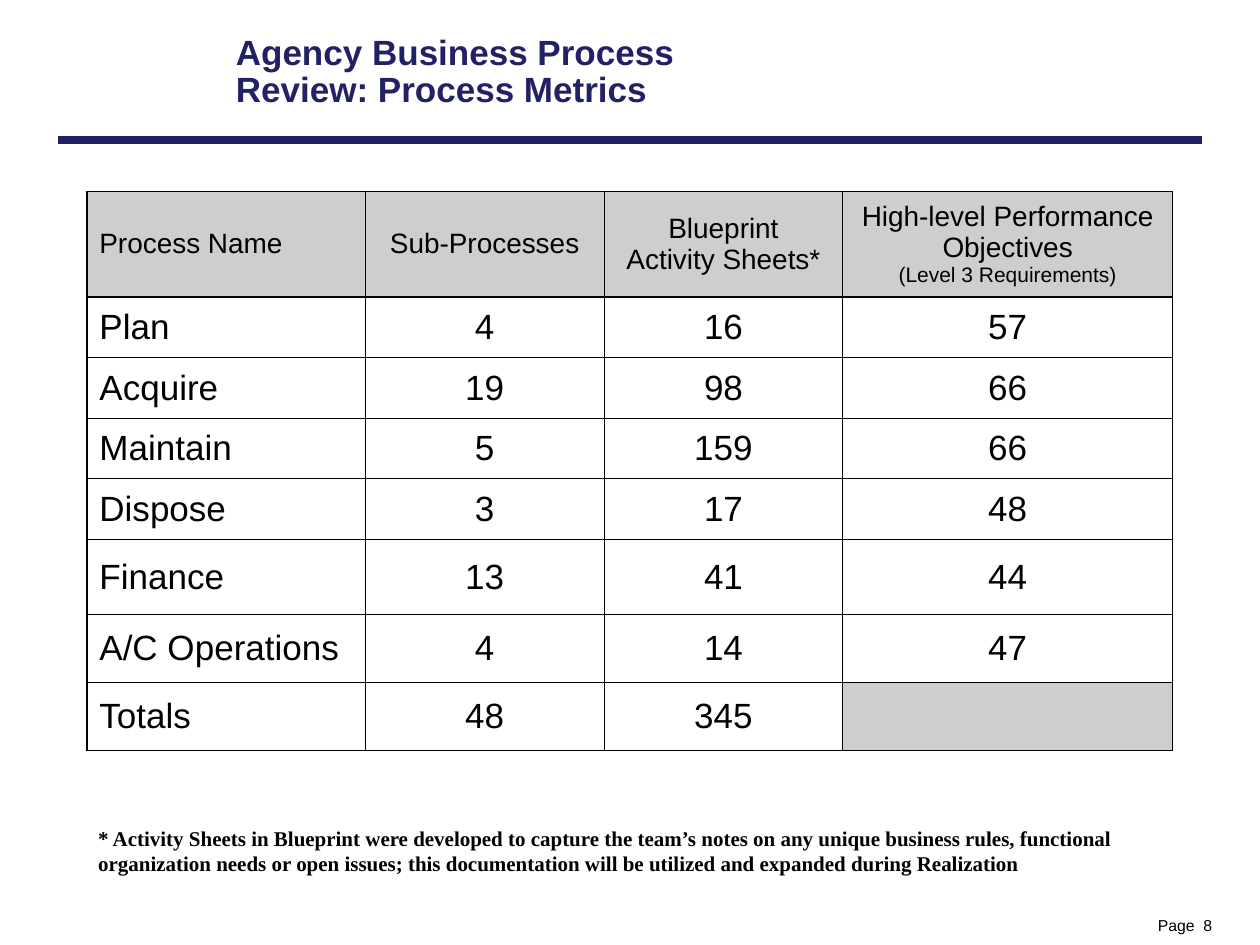
from dataclasses import dataclass

from lxml.etree import SubElement
from pptx import Presentation
from pptx.dml.color import RGBColor
from pptx.enum.text import MSO_ANCHOR, MSO_AUTO_SIZE, PP_ALIGN
from pptx.oxml.ns import qn
from pptx.util import Cm, Pt


@dataclass(frozen=True)
class Theme:
    """Hold the colours, fonts and sizes of the slide."""
    navy: str = "212165"
    ink: str = "000000"
    grey: str = "CECECE"
    sans: str = "Arial"
    serif: str = "Times New Roman"
    big: float = 20
    head: float = 16
    small: float = 12
    page: float = 9
    rule: float = 4.5
    thick: float = 1.08
    thin: float = 0.45


THEME = Theme()
HEADS = [
    [("Process Name", THEME.head)],
    [("Sub-Processes", THEME.head)],
    [("Blueprint", THEME.head), ("Activity Sheets*", THEME.head)],
    [("High-level Performance Objectives", THEME.head),
     ("(Level 3 Requirements)", THEME.small)],
]
ROWS = [
    ("Plan", "4", "16", "57"),
    ("Acquire", "19", "98", "66"),
    ("Maintain", "5", "159", "66"),
    ("Dispose", "3", "17", "48"),
    ("Finance", "13", "41", "44"),
    ("A/C Operations", "4", "14", "47"),
    ("Totals", "48", "345", ""),
]
WIDTHS = (5.61, 4.82, 4.81, 6.65)
HEIGHTS = (2.13, *[1.22] * 4, 1.52, 1.37, 1.37)
NOTE = ("* Activity Sheets in Blueprint were developed to capture the team’s notes "
        "on any unique business rules, functional organization needs or open issues; "
        "this documentation will be utilized and expanded during Realization")


def assign(item, values):
    """Set each named value on the item."""
    for name, value in values.items():
        setattr(item, name, value)


def write(para, lines, font=THEME.sans, tint=THEME.ink, bold=False):
    """Write sized lines into one paragraph, with line breaks between."""
    for i, (text, size) in enumerate(lines):
        if i:
            para.add_line_break()
        run = para.add_run()
        run.text = text
        assign(run.font, {"name": font, "size": Pt(size), "bold": bold})
        run.font.color.rgb = RGBColor.from_string(tint)


def add_title(slide, left, top, width, height):
    """Place the slide title in its box."""
    shape = slide.shapes.title
    assign(shape, {"left": Cm(left), "top": Cm(top),
                   "width": Cm(width), "height": Cm(height)})
    assign(shape.text_frame, {"vertical_anchor": MSO_ANCHOR.MIDDLE, "word_wrap": True,
                              "auto_size": MSO_AUTO_SIZE.NONE})
    para = shape.text_frame.paragraphs[0]
    assign(para, {"alignment": PP_ALIGN.LEFT, "line_spacing": 0.9, "space_before": Pt(0)})
    write(para, [("Agency Business Process", THEME.big),
                 ("Review: Process Metrics", THEME.big)], tint=THEME.navy, bold=True)


def add_rule(slide, left, top, width):
    """Draw the heavy line under the title."""
    line = slide.shapes.add_connector(1, Cm(left), Cm(top), Cm(left + width), Cm(top))
    line.line.width = Pt(THEME.rule)
    line.line.color.rgb = RGBColor.from_string(THEME.navy)
    SubElement(line._element.spPr, qn("a:effectLst"))


def edge(cell, sides):
    """Draw the cell borders from a map of side to width."""
    props = cell._tc.get_or_add_tcPr()
    for side, width in sides.items():
        line = SubElement(props, qn(f"a:ln{side}"), w=str(Pt(width)))
        fill = SubElement(line, qn("a:solidFill"))
        SubElement(fill, qn("a:srgbClr"), val=THEME.ink)


def add_grid(slide, left, top, width, height):
    """Place the metrics table, scaled to its box."""
    rows = HEADS + [[[(text, THEME.big)] if text else [] for text in row] for row in ROWS]
    rows = [HEADS] + rows[len(HEADS):]
    last, end = len(rows) - 1, len(WIDTHS) - 1
    table = slide.shapes.add_table(len(rows), len(WIDTHS), Cm(left), Cm(top),
                                   Cm(width), Cm(height)).table
    assign(table, {"first_row": False, "horz_banding": False})
    for col, size in zip(table.columns, WIDTHS):
        col.width = Cm(size * width / sum(WIDTHS))
    for row, size in zip(table.rows, HEIGHTS):
        row.height = Cm(size * height / sum(HEIGHTS))
    for r, row in enumerate(rows):
        for c, lines in enumerate(row):
            cell = table.cell(r, c)
            heavy = {"L": c == 0, "R": c == end,
                     "T": r in (0, 1, last), "B": r in (0, last - 1, last)}
            edge(cell, {side: THEME.thick if on else THEME.thin
                        for side, on in heavy.items()})
            if r == 0 or not lines:
                cell.fill.solid()
                cell.fill.fore_color.rgb = RGBColor.from_string(THEME.grey)
            else:
                cell.fill.background()
            cell.vertical_anchor = MSO_ANCHOR.MIDDLE
            para = cell.text_frame.paragraphs[0]
            para.alignment = PP_ALIGN.CENTER if c else PP_ALIGN.LEFT
            write(para, lines)


def add_text(slide, box, lines, frame, **style):
    """Place a wrapped text box with the given frame values."""
    shape = slide.shapes.add_textbox(*map(Cm, box))
    assign(shape.text_frame, {"word_wrap": True, **frame})
    write(shape.text_frame.paragraphs[0], lines, **style)


def main():
    """Build and save the slide."""
    deck = Presentation()
    assign(deck, {"slide_width": Cm(25.4), "slide_height": Cm(19.05)})
    slide = deck.slides.add_slide(deck.slide_layouts[5])
    add_rule(slide, 1.17, 2.82, 23.06)
    add_text(slide, (23.34, 18.47, 2, 0.38), [("Page  8", THEME.page)],
             {"vertical_anchor": MSO_ANCHOR.BOTTOM, "margin_left": 0, "margin_right": 0,
              "margin_top": 0, "margin_bottom": 0})
    add_title(slide, 4.5, 0.69, 14.35, 1.55)
    add_grid(slide, 1.75, 3.86, sum(WIDTHS), sum(HEIGHTS))
    add_text(slide, (1.73, 16.51, 22.61, 1.27), [(NOTE, THEME.small)], {},
             font=THEME.serif, bold=True)
    deck.save("out.pptx")


if __name__ == "__main__":
    main()
